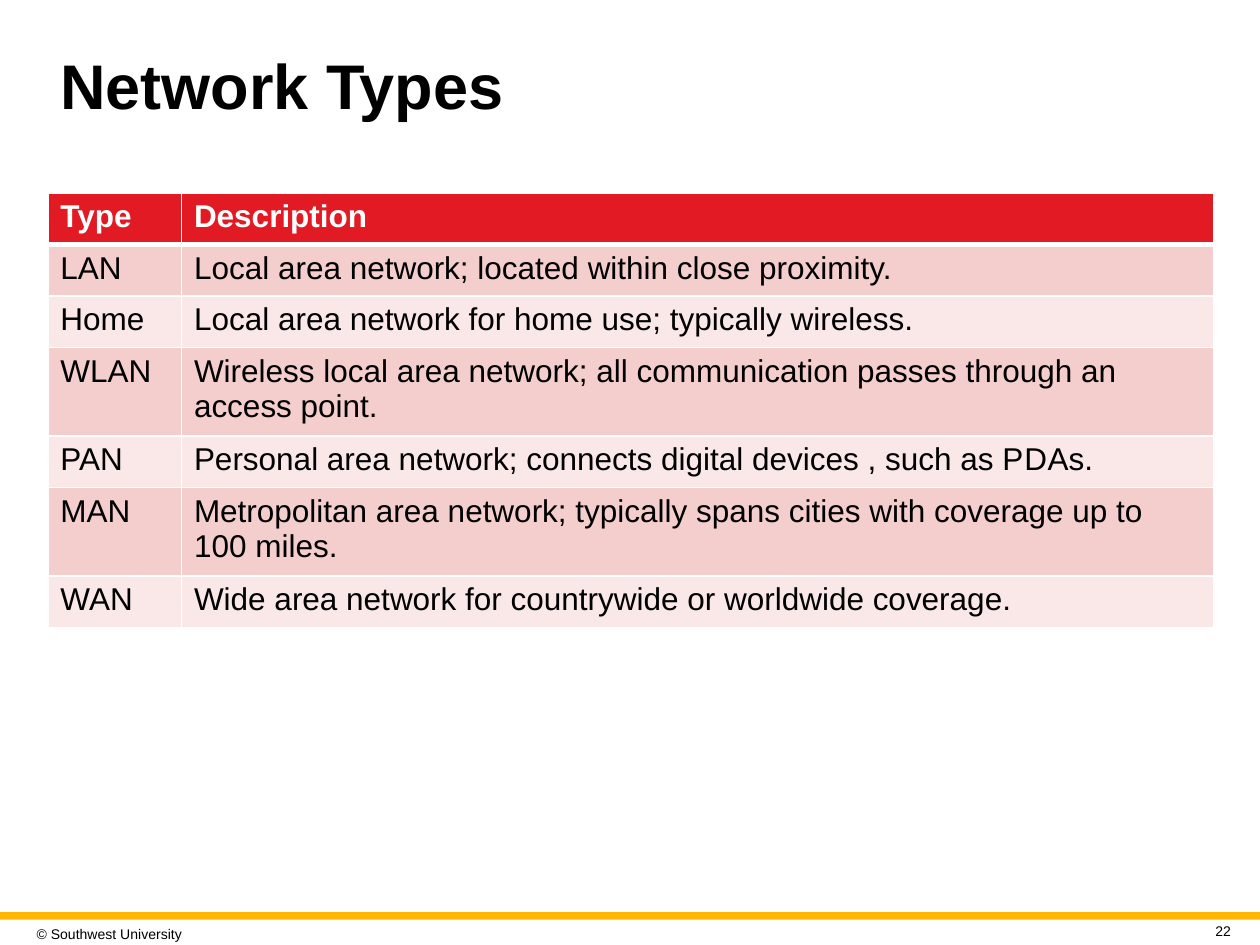
from lxml.etree import SubElement
from pptx import Presentation
from pptx.dml.color import RGBColor
from pptx.enum.shapes import MSO_SHAPE
from pptx.enum.text import MSO_ANCHOR, PP_ALIGN
from pptx.oxml.ns import qn
from pptx.util import Inches, Pt

TITLE = "Network Types"
COPYRIGHT = "© Southwest University"
PAGE_NUMBER = "22"
HEADER = ("Type", "Description")
NETWORKS = [
    ("LAN", "Local area network; located within close proximity."),
    ("Home", "Local area network for home use; typically wireless."),
    ("WLAN", "Wireless local area network; all communication passes through an access point."),
    ("PAN", "Personal area network; connects digital devices , such as P|D|As."),
    ("MAN", "Metropolitan area network; typically spans cities with coverage up to 100 miles."),
    ("WAN", "Wide area network for countrywide or worldwide coverage."),
]
HAIR_SPACE_MARK = "|"  # becomes a 1 pt space between the letters of an acronym
COLORS = {"text": "000000", "white": "FFFFFF", "gold": "FFB600",
          "header": "E21A23", "odd": "F4CDCD", "even": "FAE8E8"}
FONT = "Arial"
COLUMN_WIDTHS = (1.06, 8.19)
ROW_HEIGHT = 0.41


def color(name):
    return RGBColor.from_string(COLORS[name])


def add_span(para, text, size, ink="text", bold=False):
    span = para.add_run()
    span.text = text
    span.font.name = FONT
    span.font.size = Pt(size)
    span.font.bold = bold
    span.font.color.rgb = color(ink)


def add_text(page, text, place, size, inset=None, bold=False, align=PP_ALIGN.LEFT, wrap=True):
    box = page.shapes.add_textbox(*map(Inches, place))
    frame = box.text_frame
    frame.word_wrap = wrap
    frame.vertical_anchor = MSO_ANCHOR.MIDDLE
    if inset is not None:
        frame.margin_left = frame.margin_right = Inches(inset)
        frame.margin_top = frame.margin_bottom = Inches(inset)
    para = frame.paragraphs[0]
    para.alignment = align
    add_span(para, text, size, bold=bold)
    return para


def set_borders(cell, widths):
    """Draw white borders; they must come before the fill in the cell's XML."""
    properties = cell._tc.get_or_add_tcPr()
    for side, width in widths.items():
        line = SubElement(properties, qn(f"a:ln{side}"), w=str(Pt(width)))
        fill = SubElement(line, qn("a:solidFill"))
        SubElement(fill, qn("a:srgbClr"), val=COLORS["white"])


def fill_cell(cell, text, row):
    is_header = row == 0
    widths = dict.fromkeys("LRTB", 1)
    if is_header:
        widths["B"] = 3
    elif row == 1:
        widths["T"] = 3
    set_borders(cell, widths)
    cell.fill.solid()
    cell.fill.fore_color.rgb = color("header" if is_header else "odd" if row % 2 else "even")
    para = cell.text_frame.paragraphs[0]
    for index, part in enumerate(text.split(HAIR_SPACE_MARK)):
        if index:
            add_span(para, " ", 1)
        add_span(para, part, 18, "white" if is_header else "text", is_header)


def add_network_table(page):
    rows = [HEADER, *NETWORKS]
    table = page.shapes.add_table(
        len(rows), len(HEADER), Inches(0.38), Inches(1.53),
        Inches(sum(COLUMN_WIDTHS)), Inches(ROW_HEIGHT * len(rows))).table
    for column, width in zip(table.columns, COLUMN_WIDTHS):
        column.width = Inches(width)
    for r, texts in enumerate(rows):
        table.rows[r].height = Inches(ROW_HEIGHT)
        for c, text in enumerate(texts):
            fill_cell(table.cell(r, c), text, r)


def main():
    deck = Presentation()
    deck.slide_width, deck.slide_height = Inches(10), Inches(7.5)
    page = deck.slides.add_slide(deck.slide_layouts[6])

    footer_bar = page.shapes.add_shape(
        MSO_SHAPE.RECTANGLE, 0, Inches(7.24), deck.slide_width, Inches(0.06))
    footer_bar.shadow.inherit = False
    footer_bar.fill.solid()
    footer_bar.fill.fore_color.rgb = color("gold")
    footer_bar.line.fill.background()

    add_text(page, COPYRIGHT, (0.24, 7.29, 1.35, 0.24), 8, inset=0.05, wrap=False)
    title = add_text(page, TITLE, (0.38, 0.26, 9.25, 0.9), 36, bold=True)
    title.line_spacing = 0.9
    add_network_table(page)
    add_text(page, PAGE_NUMBER, (9.43, 7.3, 0.39, 0.18), 8, inset=0.05, align=PP_ALIGN.RIGHT)

    deck.save("out.pptx")


if __name__ == "__main__":
    main()
